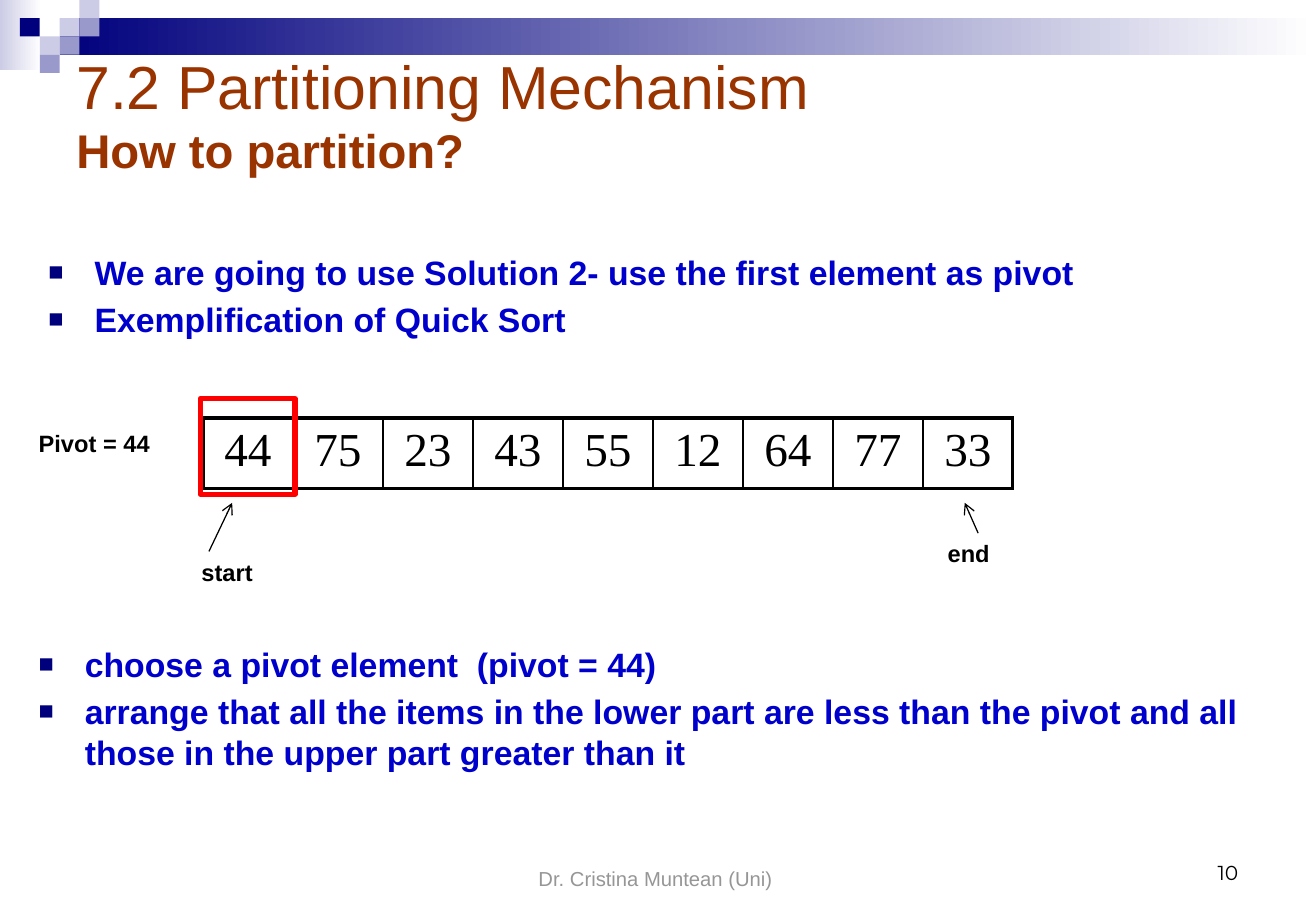
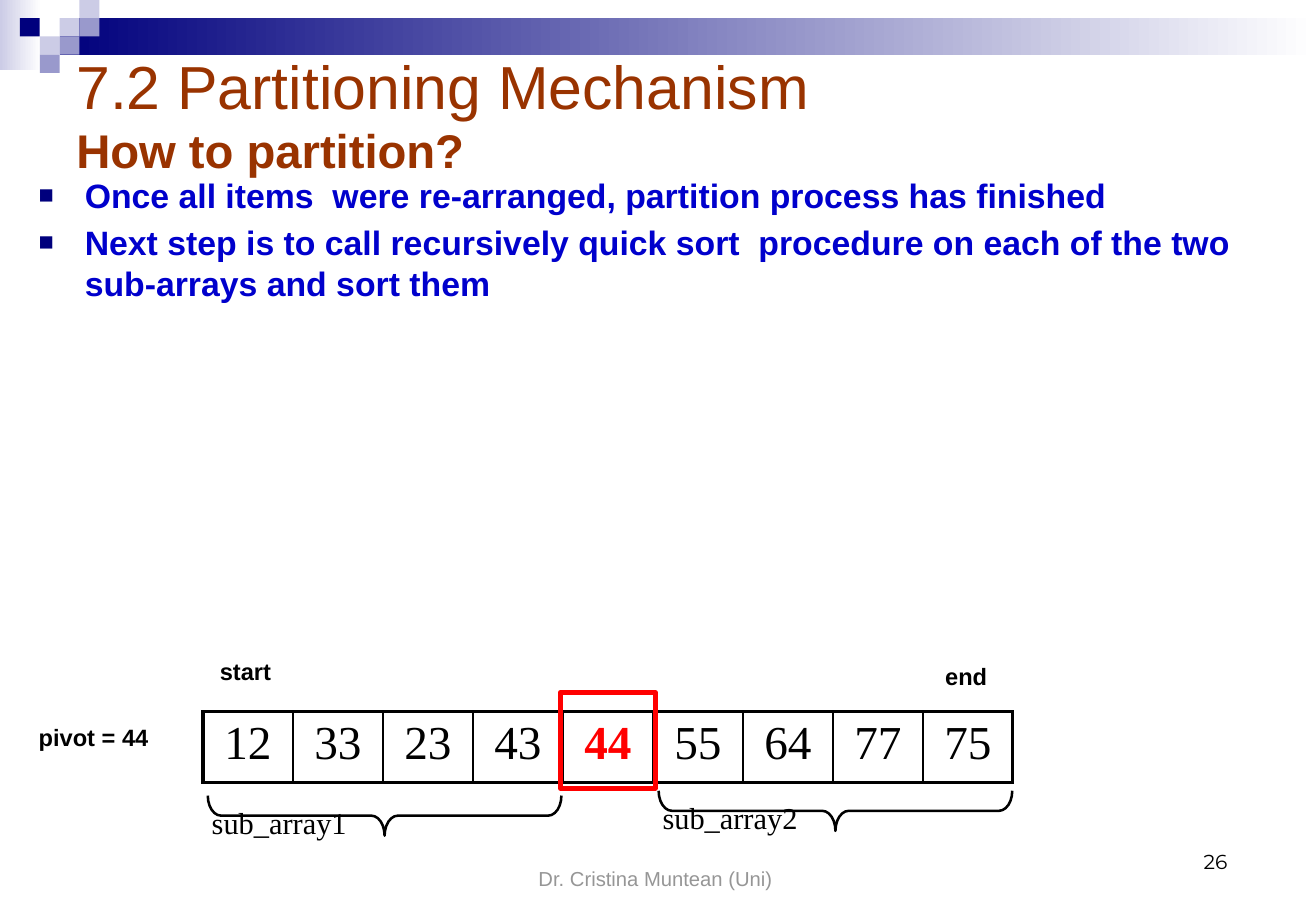
from pptx import Presentation
from pptx.dml.color import RGBColor
from pptx.enum.shapes import MSO_CONNECTOR, MSO_SHAPE
from pptx.enum.text import MSO_ANCHOR, PP_ALIGN
from pptx.oxml import parse_xml
from pptx.oxml.ns import nsdecls
from pptx.util import Inches, Pt

NAVY = RGBColor(0x00, 0x00, 0x7D)
LILAC = RGBColor(0xCC, 0xCC, 0xE6)
MAUVE = RGBColor(0x99, 0x99, 0xCC)
RUST = RGBColor(0x99, 0x33, 0x00)
BLUE = RGBColor(0x00, 0x00, 0xCC)
RED = RGBColor(0xFF, 0x00, 0x00)
GREY = RGBColor(0x96, 0x96, 0x96)
BLACK = RGBColor(0x00, 0x00, 0x00)
WHITE = RGBColor(0xFF, 0xFF, 0xFF)

# Text formats
HEAD = dict(name="Arial", size=Pt(36), color=RUST)
SUB = dict(name="Arial", size=Pt(28), color=RUST, bold=True)
BODY = dict(name="Arial", size=Pt(20), color=BLUE, bold=True)
LABEL = dict(name="Arial", size=Pt(14), color=BLACK, bold=True)
FOOT = dict(name="Arial", size=Pt(12), color=GREY)
PAGE = dict(name="Montserrat", size=Pt(12), color=BLACK)
ITEM = dict(name="Times New Roman", size=Pt(28), color=BLACK, bold=False)
PIVOT = dict(ITEM, color=RED, bold=True)
BRACE = dict(name="Times New Roman", size=Pt(18), color=BLACK)

deck = Presentation()
deck.slide_width, deck.slide_height = Inches(10.83), Inches(7.5)

# Grids, in percent of the slide: header tiles and array cells
TILE_W, TILE_H = 1.51, 2
LEFT, CELL_W, CELL_H = 15.42, 6.84, 7.73
TILES = [(3, 1, LILAC), (4, 0, LILAC), (4, 1, MAUVE), (2, 2, LILAC),
         (1, 1, NAVY), (3, 2, MAUVE), (2, 3, MAUVE)]


def at(*shares):
    """Turn x, y, x, y ... percentages into lengths."""
    sides = (deck.slide_width, deck.slide_height)
    return [int(sides[i % 2] * s / 100) for i, s in enumerate(shares)]


def write(para, text, look):
    """Add one run with the given format."""
    run = para.add_run()
    run.text = text
    for key, val in look.items():
        if key == "color":
            run.font.color.rgb = val
        else:
            setattr(run.font, key, val)


PAGES = [
    dict(
        page=("10", 71.65, 91.07), row=45.87, pivot=0, mark=ITEM,
        items=[44, 75, 23, 43, 55, 12, 64, 77, 33],
        lists=[
            ((2.77, 26.93, 95.2, 15.73),
             ["We are going to use Solution 2- use the first element as pivot",
              "Exemplification of Quick Sort"]),
            ((2.03, 70, 95.2, 15.73),
             ["choose a pivot element  (pivot = 44)",
              "arrange that all the items in the lower part are less than "
              "the pivot and all those in the upper part greater than it"])],
        labels=[("start", 14.4, 60.53, 6.46), ("end", 71.1, 58.53, 6.46),
                ("Pivot = 44", 2.03, 46.4, 12.37)],
        arrows=[(15.88, 60.53, 17.64, 55.2), (74.33, 58.53, 73.31, 55.2)],
        braces=[]),
    dict(
        page=("26", 70.82, 89.87), row=78.13, pivot=4, mark=PIVOT,
        items=[12, 33, 23, 43, 44, 55, 64, 77, 75],
        lists=[
            ((2.03, 18.53, 97.97, 23.07),
             ["Once all items  were re-arranged, partition process has finished",
              "Next step is to call recursively quick sort  procedure on each "
              "of the two sub-arrays and sort them"])],
        labels=[("start", 15.79, 71.47, 6.46), ("end", 70.91, 72, 6.46),
                ("pivot = 44", 2.03, 78.67, 12.37)],
        arrows=[],
        braces=[("sub_array1", 27.7, 70.13), ("sub_array2", 61.96, 69.6)]),
]

for data in PAGES:
    slide = deck.slides.add_slide(deck.slide_layouts[6])
    shapes = slide.shapes

    # Header: two fading bands, then the tiles
    bands = [((0, 0, 3.14, 7.73), LILAC),
             ((3 * TILE_W, TILE_H, 100 - 3 * TILE_W, 2 * TILE_H), NAVY)]
    tiles = [((c * TILE_W, r * TILE_H, TILE_W, TILE_H), tint)
             for c, r, tint in TILES]
    for box, tint in bands + tiles:
        tile = shapes.add_shape(MSO_SHAPE.RECTANGLE, *at(*box))
        tile.shadow.inherit = False
        tile.line.fill.background()
        if (box, tint) in bands:
            tile.fill.gradient()
            tile.fill.gradient_angle = 0
            for stop, shade, spot in zip(tile.fill.gradient_stops,
                                         (tint, WHITE), (0, 1)):
                stop.color.rgb, stop.position = shade, spot
        else:
            tile.fill.solid()
            tile.fill.fore_color.rgb = tint

    # Title
    frame = shapes.add_textbox(*at(4.89, 5.33, 90.03, 17.87)).text_frame
    frame.word_wrap, frame.margin_top = True, 0
    para = frame.paragraphs[0]
    write(para, "7.2 Partitioning Mechanism", HEAD)
    para.add_line_break()
    write(para, "How to partition?", SUB)

    # Footer, page number and labels
    num, x, y = data["page"]
    notes = [("Dr. Cristina Muntean (Uni)", (33.98, 91.73, 31.67, 6.67),
              FOOT, PP_ALIGN.CENTER, MSO_ANCHOR.BOTTOM),
             (num, (x, y, 23.36, 6.67),
              PAGE, PP_ALIGN.RIGHT, MSO_ANCHOR.BOTTOM)]
    notes += [(text, (x, y, w, 4.53), LABEL, PP_ALIGN.LEFT, MSO_ANCHOR.TOP)
              for text, x, y, w in data["labels"]]
    for text, box, look, align, anchor in notes:
        frame = shapes.add_textbox(*at(*box)).text_frame
        frame.word_wrap, frame.vertical_anchor = True, anchor
        frame.paragraphs[0].alignment = align
        write(frame.paragraphs[0], text, look)

    # Bulleted lists
    for box, lines in data["lists"]:
        frame = shapes.add_textbox(*at(*box)).text_frame
        frame.word_wrap = True
        for i, text in enumerate(lines):
            para = frame.add_paragraph() if i else frame.paragraphs[0]
            para.space_before = Pt(4)
            write(para, text, BODY)
            props = para._p.get_or_add_pPr()
            props.set("marL", str(Inches(0.38)))
            props.set("indent", str(-Inches(0.38)))
            for tag in (f'buClr {{}}><a:srgbClr val="{NAVY}"/></a:buClr>',
                        'buSzPct {} val="75000"/>',
                        'buFont {} typeface="Arial"/>',
                        'buChar {} char="\u25a0"/>'):
                props.append(parse_xml("<a:" + tag.format(nsdecls("a"))))

    # Array
    items, row = data["items"], data["row"]
    last = len(items) - 1
    table = shapes.add_table(
        1, len(items), *at(LEFT, row, CELL_W * len(items), CELL_H)).table
    table.first_row = table.horz_banding = False
    for i, item in enumerate(items):
        cell = table.cell(0, i)
        para = cell.text_frame.paragraphs[0]
        para.alignment, para.space_before = PP_ALIGN.CENTER, Pt(5.6)
        write(para, str(item), data["mark"] if i == data["pivot"] else ITEM)
        edges = dict(L=1 if i else 2.25, R=1 if i < last else 2.25,
                     T=2.25, B=2.25)
        props = cell._tc.get_or_add_tcPr()
        for side, width in edges.items():
            props.append(parse_xml(
                f'<a:ln{side} {nsdecls("a")} w="{Pt(width)}"><a:solidFill>'
                f'<a:srgbClr val="{BLACK}"/></a:solidFill></a:ln{side}>'))
        cell.fill.background()

    # Frame around the pivot
    ring = shapes.add_shape(MSO_SHAPE.RECTANGLE, *at(
        LEFT + data["pivot"] * CELL_W - 0.2, row - 2.13, 7.2, 10.53))
    ring.shadow.inherit = False
    ring.fill.background()
    ring.line.color.rgb, ring.line.width = RED, Pt(3)

    # Arrows to the first and last cell
    for ends in data["arrows"]:
        arrow = shapes.add_connector(MSO_CONNECTOR.STRAIGHT, *at(*ends))
        arrow.line.color.rgb, arrow.line.width = BLACK, Pt(0.75)
        arrow.line._get_or_add_ln().append(
            parse_xml(f'<a:tailEnd {nsdecls("a")} type="arrow"/>'))
        arrow._element.spPr.append(
            parse_xml(f'<a:effectLst {nsdecls("a")}/>'))

    # Braces under the two halves
    for text, x, y in data["braces"]:
        brace = shapes.add_shape(MSO_SHAPE.LEFT_BRACE, *at(x, y, 3.05, 38.8))
        brace.shadow.inherit = False
        brace.rotation = 270
        brace.adjustments[0], brace.adjustments[1] = 0.33, 0.5
        brace.fill.background()
        brace.line.color.rgb, brace.line.width = BLACK, Pt(1.5)
        frame = brace.text_frame
        fit = dict(margin_left=Inches(0.1), margin_top=0,
                   margin_right=Inches(0.6), margin_bottom=0,
                   word_wrap=False, vertical_anchor=MSO_ANCHOR.TOP)
        for key, val in fit.items():
            setattr(frame, key, val)
        frame._txBody.bodyPr.set("vert", "eaVert")
        frame.paragraphs[0].alignment = PP_ALIGN.CENTER
        write(frame.paragraphs[0], text, BRACE)

deck.save("out.pptx")
